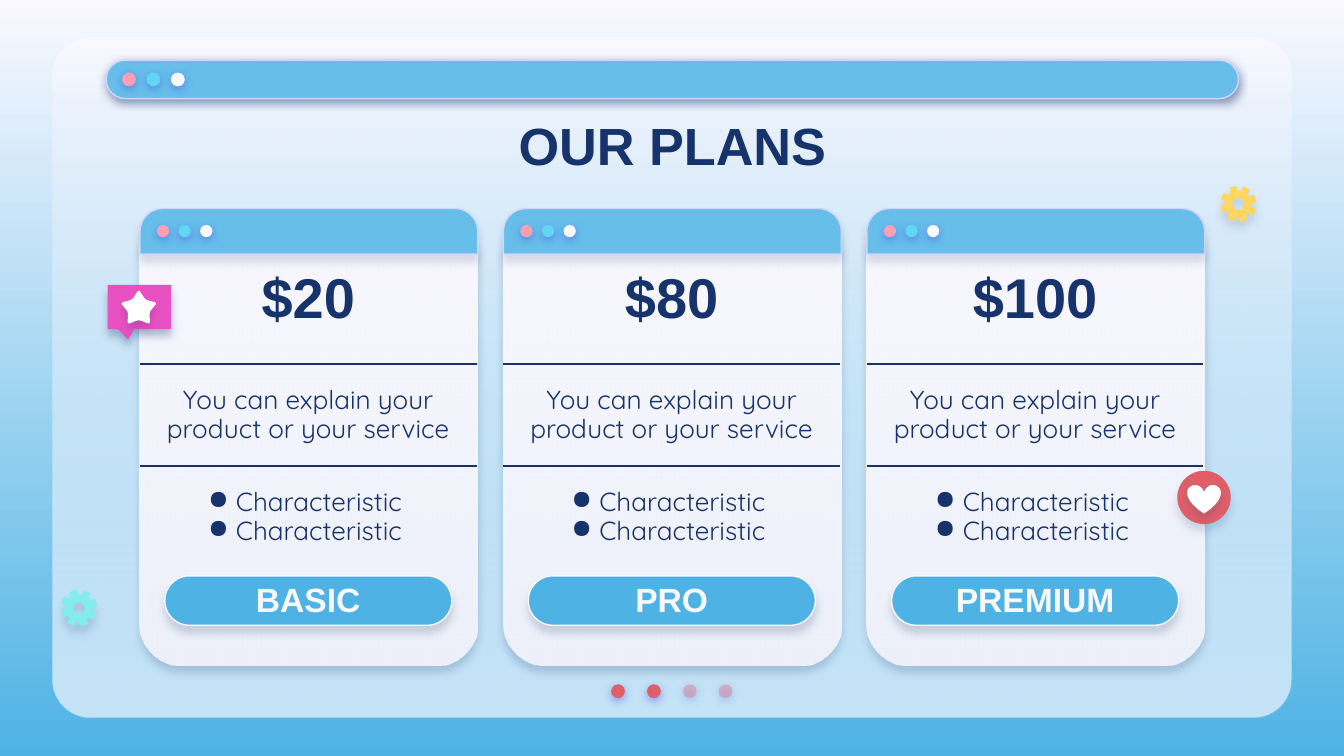
import math
from dataclasses import dataclass

import pptx
import pptx.dml.color
import pptx.enum.shapes
import pptx.enum.text
import pptx.oxml
import pptx.oxml.ns
import pptx.util
from lxml import etree

Pt = pptx.util.Pt
KIND = pptx.enum.shapes.MSO_SHAPE
MID = pptx.enum.text.MSO_ANCHOR.MIDDLE
TOP = pptx.enum.text.MSO_ANCHOR.TOP
MID_AL = pptx.enum.text.PP_ALIGN.CENTER
PLAIN = "{2D5ABB26-0587-4C30-8999-92F81FD0307C}"


@dataclass(frozen=True)
class Theme:
    navy: str = "17336B"
    pale: str = "F9F8FF"
    sky: str = "66BEE9"
    blue: str = "4EB3E4"
    edge: str = "D2D6FF"
    glow: str = "5352EE"
    pink: str = "FDA0B4"
    cyan: str = "60D8F4"
    red: str = "DF5F69"
    rose: str = "E27B83"
    mint: str = "81EEEB"
    gold: str = "FFD65F"
    plum: str = "E951C2"
    white: str = "FFFFFF"
    head: str = "Arial"
    body: str = "Quicksand"
    title: int = 28
    price: int = 30
    text: int = 14
    label: int = 18


def rgb(code):
    return pptx.dml.color.RGBColor.from_string(code)


def put(item, **vals):
    for key, val in vals.items():
        setattr(item, key, val)


def add(top, tag, **vals):
    """Append a drawing element with its attributes."""
    node = etree.SubElement(top, pptx.oxml.ns.qn("a:" + tag))
    for key, val in vals.items():
        node.set(key, str(val))
    return node


def blend(fill, first, last):
    """Fill from top to bottom with two colours."""
    fill.gradient()
    fill.gradient_angle = 270
    for stop, code, at in zip(fill.gradient_stops, (first, last), (0, 1)):
        stop.color.rgb = rgb(code)
        stop.position = at


class Deck:
    def __init__(self, theme):
        self.theme = theme
        self.show = pptx.Presentation()
        put(self.show, slide_width=Pt(720), slide_height=Pt(405))
        self.slide = self.show.slides.add_slide(self.show.slide_layouts[6])
        blend(self.slide.background.fill, theme.pale, theme.blue)

    def paint(self, item, *fills, line=None, shade=None):
        """Fills are (colour, opacity); shade is (colour, opacity, distance)."""
        if len(fills) == 1:
            item.fill.solid()
            item.fill.fore_color.rgb = rgb(fills[0][0])
        else:
            blend(item.fill, fills[0][0], fills[1][0])
        nodes = item.element.xpath("./p:spPr//a:srgbClr")
        for node, (code, alpha) in zip(nodes, fills):
            if alpha < 100:
                add(node, "alpha", val=alpha * 1000)
        if line:
            item.line.color.rgb = rgb(line)
            item.line.width = Pt(0.75)
        else:
            item.line.fill.background()
        item.shadow.inherit = False
        if shade:
            code, alpha, gap = shade
            cast = add(item.element.xpath("./p:spPr/a:effectLst")[0], "outerShdw",
                       blurRad=Pt(4.5), dist=Pt(gap), dir=5400000,
                       algn="bl", rotWithShape=0)
            add(add(cast, "srgbClr", val=code), "alpha", val=alpha * 1000)

    def shape(self, kind, x, y, w, h, *fills, adj=(), **look):
        item = self.slide.shapes.add_shape(kind, Pt(x), Pt(y), Pt(w), Pt(h))
        for num, val in enumerate(adj):
            item.adjustments[num] = val
        self.paint(item, *fills, **look)

    def dots(self, x, y, size, step, fills):
        """A row of dots; x and y give the middle of the first."""
        for num, fill in enumerate(fills):
            self.shape(KIND.OVAL, x + num * step - size / 2, y - size / 2,
                       size, size, fill, shade=(self.theme.glow, 50, 1.5))

    def outline(self, loops, code, shade):
        loops = [[(Pt(x), Pt(y)) for x, y in loop] for loop in loops]
        pen = self.slide.shapes.build_freeform(*loops[0][0])
        for num, loop in enumerate(loops):
            if num:
                pen.move_to(*loop[0])
            pen.add_line_segments(loop[1:], close=True)
        self.paint(pen.convert_to_shape(), (code, 100), shade=shade)

    def gear(self, x, y, code, shade):
        def spot(size, turn):
            turn = math.radians(turn)
            return x + size * math.sin(turn), y - size * math.cos(turn)
        teeth = [spot(size, num * 45 - 18 + turn) for num in range(8)
                 for size, turn in ((7.4, -14), (9.9, -12), (9.9, 12), (7.4, 14))]
        hole = [spot(3.2, -num * 15) for num in range(24)]
        self.outline([teeth, hole], code, shade)

    def star(self, x, y, size, code, shade):
        tips = []
        for num in range(10):
            turn = math.radians(num * 36)
            far = size * (0.57 if num % 2 else 1)
            tips.append((x + far * math.sin(turn), y - far * math.cos(turn)))
        loop = []
        for num, tip in enumerate(tips):  # Round every corner
            last, after = tips[num - 1], tips[(num + 1) % 10]
            start, end = [[t + 0.28 * (o - t) for t, o in zip(tip, other)]
                          for other in (last, after)]
            for part in range(7):
                u = part / 6
                loop.append([(1 - u) ** 2 * a + 2 * u * (1 - u) * b + u * u * c
                             for a, b, c in zip(start, tip, end)])
        self.outline([loop], code, shade)

    def words(self, frame, lines, size, face, code, bold=False, space=None, mark=None):
        for num, line in enumerate(lines):
            para = frame.paragraphs[0] if num == 0 else frame.add_paragraph()
            put(para, alignment=MID_AL, line_spacing=space)
            if mark:
                props = para._p.get_or_add_pPr()
                props.set("marL", str(Pt(11.5)))
                props.set("indent", str(Pt(-15)))
                add(add(props, "buClr"), "srgbClr", val=code)
                add(props, "buChar", char=mark)
            run = para.add_run()
            run.text = line
            put(run.font, size=Pt(size), name=face, bold=bold)
            run.font.color.rgb = rgb(code)

    def text(self, x, y, w, h, line, **look):
        frame = self.slide.shapes.add_textbox(Pt(x), Pt(y), Pt(w), Pt(h)).text_frame
        put(frame, word_wrap=True, vertical_anchor=MID)
        self.words(frame, [line], **look)

    def table(self, x, y, w, rows):
        """Rows are (height, anchor, lines, look)."""
        frame = self.slide.shapes.add_table(
            len(rows), 1, Pt(x), Pt(y), Pt(w), Pt(sum(row[0] for row in rows)))
        put(frame.table, first_row=False, horz_banding=False)
        frame.element.xpath(".//a:tableStyleId")[0].text = PLAIN
        for num, (high, anchor, lines, look) in enumerate(rows):
            frame.table.rows[num].height = Pt(high)
            cell = frame.table.cell(num, 0)
            put(cell, vertical_anchor=anchor, **{
                "margin_" + side: Pt(7.2) for side in ("left", "right", "top", "bottom")})
            cell.fill.background()
            self.words(cell.text_frame, lines, **look)
        # Rule between the first two rows
        for num, tag in enumerate(("lnB", "lnT")):
            props = frame.element.xpath(".//a:tcPr")[num]
            rule = add(props, tag, w=Pt(1.5))
            add(add(rule, "solidFill"), "srgbClr", val=self.theme.navy)
            props.insert(0, rule)


def main():
    t = Theme()
    deck = Deck(t)
    trio = [(code, 100) for code in (t.pink, t.cyan, t.pale)]
    soft = (t.navy, 15, 3.8)

    # Window panel, page dots and top bar
    for fills in ([(t.pale, 100)], [(t.pale, 100), (t.sky, 35)]):
        deck.shape(KIND.ROUNDED_RECTANGLE, 28.1, 20.2, 663.8, 364.3, *fills, adj=[0.056])
    deck.dots(331.1, 370.3, 7.4, 19.2, [(t.red, 100)] * 2 + [(t.rose, 44)] * 2)
    deck.shape(KIND.ROUNDED_RECTANGLE, 56.9, 32.2, 606.6, 20.6, (t.sky, 100),
               adj=[0.5], line=t.edge, shade=(t.navy, 50, 1.5))
    deck.dots(69.1, 42.6, 7.4, 13.1, trio)
    deck.text(56.9, 55, 606.6, 45.4, "OUR PLANS", size=t.title, face=t.head,
              code=t.navy, bold=True)

    # Plan cards
    price = dict(size=t.price, face=t.head, code=t.navy, bold=True)
    body = dict(size=t.text, face=t.body, code=t.navy, space=0.9)
    label = dict(size=t.label, face=t.head, code=t.pale, bold=True)
    plans = [("$20", "BASIC"), ("$80", "PRO"), ("$100", "PREMIUM")]
    for num, (cost, name) in enumerate(plans):
        x = 75 + num * 194.7
        deck.shape(KIND.ROUNDED_RECTANGLE, x, 111.7, 181, 244.8, (t.pale, 100),
                   (t.pale, 87), adj=[0.124], shade=(t.navy, 22, 3.8))
        deck.shape(KIND.ROUND_2_SAME_RECTANGLE, x, 111.7, 181, 24.4, (t.sky, 100),
                   adj=[0.5, 0], line=t.edge, shade=soft)
        deck.dots(x + 12.3, 123.8, 6.6, 11.6, trio)
        deck.shape(KIND.ROUNDED_RECTANGLE, x + 13.3, 308.5, 153.8, 26.5, (t.blue, 100),
                   adj=[0.5], line=t.pale, shade=(t.navy, 18, 3.8))
        deck.table(x, 136.1, 180.3, [
            (58.8, TOP, [cost], price),
            (54.8, MID, ["You can explain your", "product or your service"], body),
            (54.8, MID, ["Characteristic"] * 2, dict(body, mark="●")),
            (42.5, TOP, [name], label)])

    # Gears, star bubble and heart badge
    deck.gear(42.3, 325.8, t.mint, (t.navy, 16, 4.5))
    deck.gear(663.4, 109.3, t.gold, soft)
    deck.shape(KIND.ROUNDED_RECTANGULAR_CALLOUT, 57.6, 152.6, 34, 23.8, (t.plum, 100),
               adj=[-0.174, 0.731, 0], shade=(t.navy, 31, 3.8))
    deck.star(74.4, 165.4, 10.4, t.white, (t.navy, 18, 3.8))
    deck.shape(KIND.OVAL, 630.7, 252.2, 28.6, 28.6, (t.red, 100), shade=soft)
    deck.shape(KIND.HEART, 636, 259.6, 18, 15.5, (t.white, 100), shade=soft)

    deck.show.save("out.pptx")


if __name__ == "__main__":
    main()
